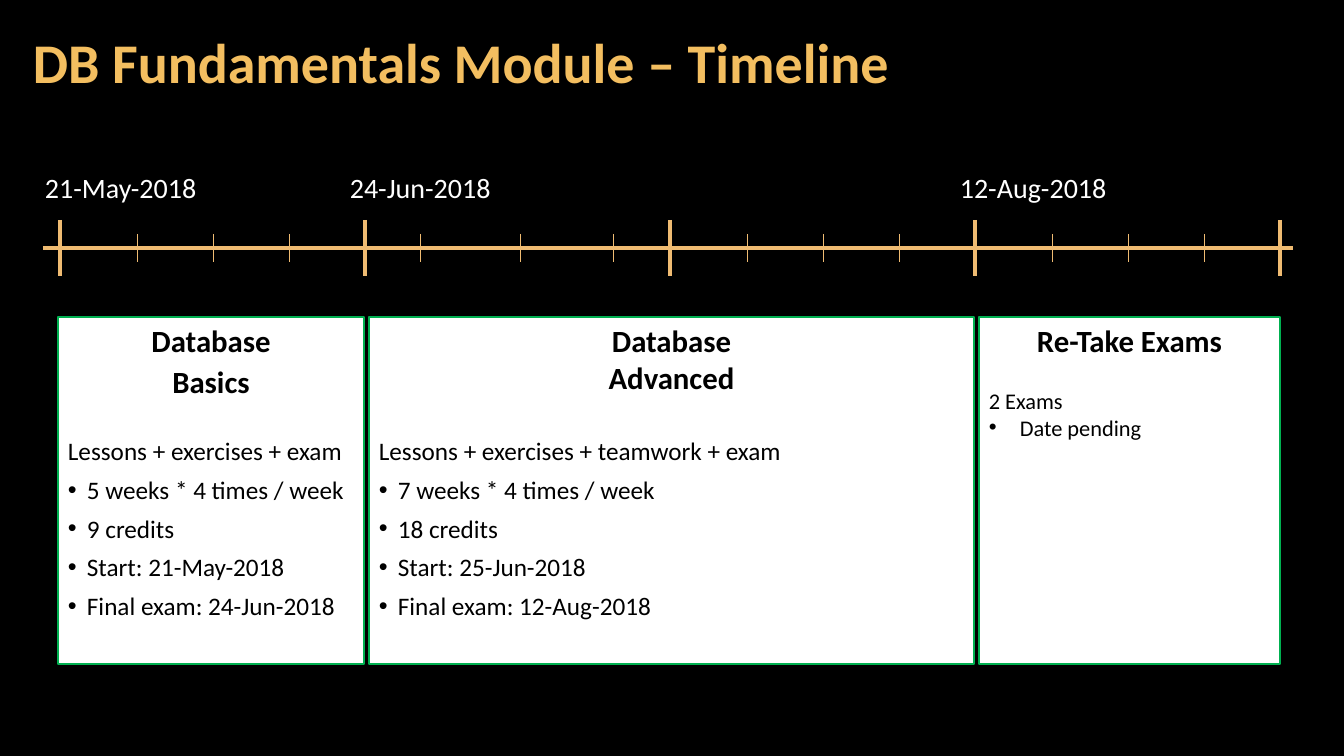
from dataclasses import dataclass

from pptx import Presentation
from pptx.dml.color import RGBColor
from pptx.enum.shapes import MSO_CONNECTOR, MSO_SHAPE
from pptx.enum.text import MSO_ANCHOR, MSO_AUTO_SIZE, PP_ALIGN
from pptx.oxml.ns import qn
from pptx.util import Emu, Pt


@dataclass(frozen=True)
class Theme:
    font: str = "Calibri"
    background: str = "000000"
    title: str = "F3BE60"
    axis: str = "EFBB72"
    date: str = "FFFFFF"
    card: str = "FFFFFF"
    border: str = "00B050"
    ink: str = "000000"
    title_size: int = 40
    heading_size: int = 22
    date_size: int = 20
    body_size: int = 18
    small_size: int = 16


THEME = Theme()

# Timeline geometry in px
AXIS_Y = 248
MAJOR_X = [60 + 305 * i for i in range(5)]
EVEN_STEPS = (77, 153, 229)
MINOR_STEPS = [EVEN_STEPS, (55, 155, 248), EVEN_STEPS, EVEN_STEPS]
DATES = [(0, "21-May-2018", 173), (1, "24-Jun-2018", 162), (3, "12-Aug-2018", 168)]
CARD_TOP, CARD_HEIGHT = 317, 347


def px(n):
    return Emu(round(n * 914400 / 100.8))


def rgb(value):
    return RGBColor.from_string(value)


def add_run(p, text, size, color, bold=False):
    r = p.add_run()
    r.text = text
    r.font.name = THEME.font
    r.font.size = Pt(size)
    r.font.bold = bold
    r.font.color.rgb = rgb(color)


def set_bullet(p, indent):
    pPr = p._p.get_or_add_pPr()
    pPr.set("marL", str(px(indent)))
    pPr.set("indent", str(-px(indent)))
    font = pPr.makeelement(qn("a:buFont"), {"typeface": "Arial"})
    char = pPr.makeelement(qn("a:buChar"), {"char": "•"})
    pPr.extend([font, char])


def add_title(s, text):
    tf = s.shapes.add_textbox(px(21), px(4), px(1055), px(122)).text_frame
    tf.word_wrap = True
    tf.vertical_anchor = MSO_ANCHOR.MIDDLE
    tf.margin_left = tf.margin_right = px(12)
    tf.margin_top = tf.margin_bottom = px(4)
    p = tf.paragraphs[0]
    p.line_spacing = 0.9
    add_run(p, text, THEME.title_size, THEME.title, bold=True)


def add_date(s, x, text, width):
    tf = s.shapes.add_textbox(px(x), px(166), px(width), px(44)).text_frame
    tf.word_wrap = False
    tf.auto_size = MSO_AUTO_SIZE.SHAPE_TO_FIT_TEXT
    add_run(tf.paragraphs[0], text, THEME.date_size, THEME.date)


def add_line(group, x1, y1, x2, y2, width):
    line = group.shapes.add_connector(
        MSO_CONNECTOR.STRAIGHT, px(x1), px(y1), px(x2), px(y2))
    line.line.color.rgb = rgb(THEME.axis)
    line.line.width = Pt(width)
    spPr = line._element.spPr
    spPr.append(spPr.makeelement(qn("a:effectLst"), {}))


def add_tick(group, x, half_height, width):
    add_line(group, x, AXIS_Y - half_height, x, AXIS_Y + half_height, width)


def add_timeline(s):
    group = s.shapes.add_group_shape()
    add_line(group, 43, AXIS_Y, 1293, AXIS_Y, 2.25)
    for x in MAJOR_X:
        add_tick(group, x, 28, 2.25)
    for start, steps in zip(MAJOR_X, MINOR_STEPS):
        for step in steps:
            add_tick(group, start + step, 14, 0.5)


def add_card(s, x, width):
    sp = s.shapes.add_shape(
        MSO_SHAPE.RECTANGLE, px(x), px(CARD_TOP), px(width), px(CARD_HEIGHT))
    sp.shadow.inherit = False
    sp.fill.solid()
    sp.fill.fore_color.rgb = rgb(THEME.card)
    sp.line.color.rgb = rgb(THEME.border)
    sp.line.width = Pt(1)
    tf = sp.text_frame
    tf.word_wrap = True
    tf.vertical_anchor = MSO_ANCHOR.TOP
    return tf


def add_heading(p, *lines):
    p.alignment = PP_ALIGN.CENTER
    for i, line in enumerate(lines):
        if i:
            p.add_line_break()
        add_run(p, line, THEME.heading_size, THEME.ink, bold=True)


def add_body(tf, intro, bullets, size, indent, gap, spacing):
    p = tf.add_paragraph()
    p.alignment = PP_ALIGN.LEFT
    p.space_before = Pt(gap)
    add_run(p, intro, size, THEME.ink)
    for text in bullets:
        p = tf.add_paragraph()
        p.alignment = PP_ALIGN.LEFT
        p.space_before = Pt(spacing)
        set_bullet(p, indent)
        add_run(p, text, size, THEME.ink)


def main():
    prs = Presentation()
    prs.slide_width, prs.slide_height = px(1344), px(756)
    s = prs.slides.add_slide(prs.slide_layouts[6])
    s.background.fill.solid()
    s.background.fill.fore_color.rgb = rgb(THEME.background)

    add_title(s, "DB Fundamentals Module – Timeline")

    # Timeline with dates
    add_timeline(s)
    for i, text, width in DATES:
        add_date(s, MAJOR_X[i] - 25, text, width)

    # Database Basics
    tf = add_card(s, 58, 306)
    add_heading(tf.paragraphs[0], "Database")
    tf.paragraphs[0].space_after = Pt(3)
    add_heading(tf.add_paragraph(), "Basics")
    add_body(tf, "Lessons + exercises + exam",
             ["5 weeks * 4 times / week", "9 credits",
              "Start: 21-May-2018", "Final exam: 24-Jun-2018"],
             THEME.body_size, indent=19, gap=25.5, spacing=6)

    # Database Advanced
    tf = add_card(s, 369, 605)
    add_heading(tf.paragraphs[0], "Database", "Advanced")
    add_body(tf, "Lessons + exercises + teamwork + exam",
             ["7 weeks * 4 times / week", "18 credits",
              "Start: 25-Jun-2018", "Final exam: 12-Aug-2018"],
             THEME.body_size, indent=19, gap=28.5, spacing=6)

    # Re-take exams
    tf = add_card(s, 979, 301)
    add_heading(tf.paragraphs[0], "Re-Take Exams")
    add_body(tf, "2 Exams", ["Date pending"],
             THEME.small_size, indent=31, gap=20, spacing=0)

    prs.save("out.pptx")


if __name__ == "__main__":
    main()
